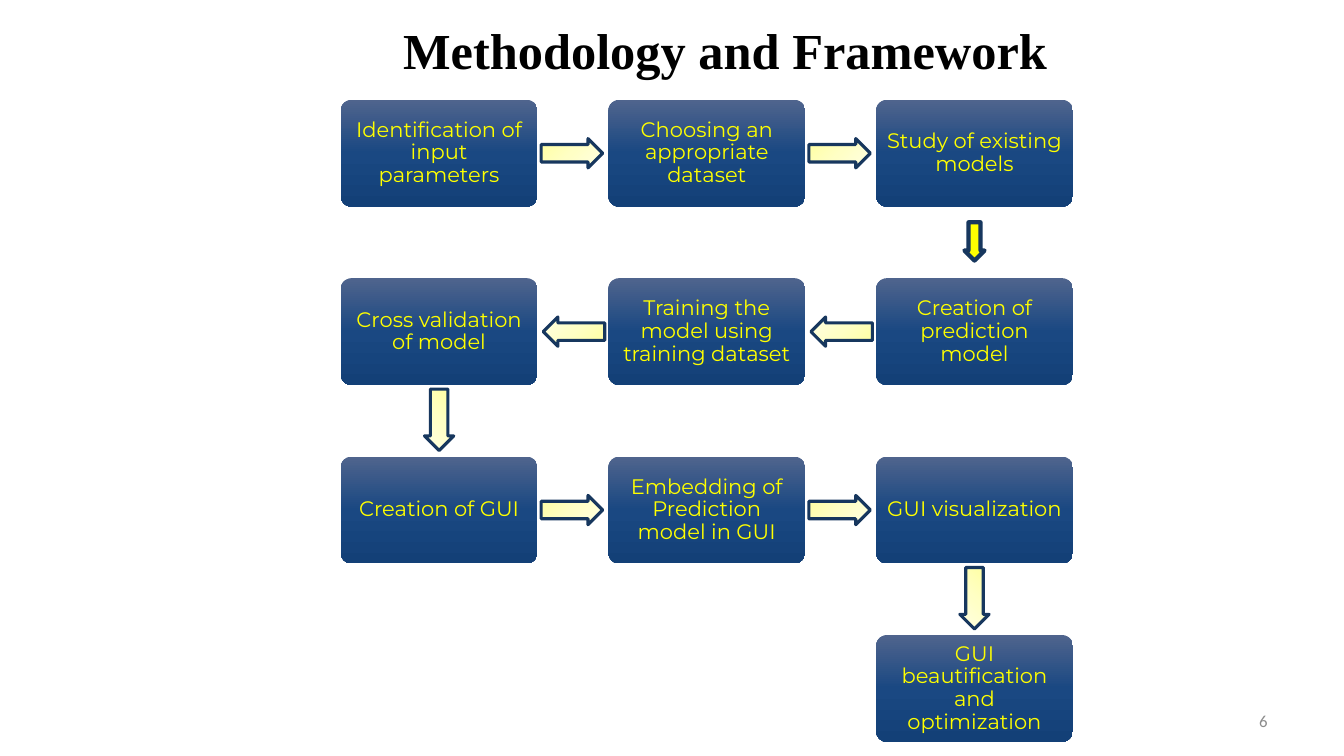
import pptx
import pptx.util
import pptx.dml.color
import pptx.enum.shapes
import pptx.enum.text
import pptx.oxml
import pptx.oxml.ns

STEPS = [
    ("Identification of input parameters", 0, 0),
    ("Choosing an appropriate dataset", 1, 0),
    ("Study of existing models", 2, 0),
    ("Creation of prediction model", 2, 1),
    ("Training the model using training dataset", 1, 1),
    ("Cross validation of model", 0, 1),
    ("Creation of GUI", 0, 2),
    ("Embedding of Prediction model in GUI", 1, 2),
    ("GUI visualization", 2, 2),
    ("GUI beautification and optimization", 2, 3),
]
ROTATIONS = {(1, 0): 0, (0, 1): 90, (-1, 0): 180}
HIGHLIGHTED_STEP = 2


def colour(value):
    return pptx.dml.color.RGBColor.from_string(value)


class FlowSlide:
    left, top = 3.38, 0.99
    column_pitch, row_pitch = 2.655, 1.77
    box_width, box_height = 1.95, 1.06
    box_stops = ("4F648D", "1A4882", "134077")
    arrow_stops = ("FFFFA0", "FFFFC5", "FFFFE3")
    label_colour = "FFFF00"
    outline_colour = "17375E"

    def __init__(self, presentation):
        self.slide = presentation.slides.add_slide(presentation.slide_layouts[6])

    def centre(self, column, row):
        return (self.left + column * self.column_pitch + self.box_width / 2,
                self.top + row * self.row_pitch + self.box_height / 2)

    def shape(self, kind, centre, width, height):
        corner = (centre[0] - width / 2, centre[1] - height / 2)
        shape = self.slide.shapes.add_shape(
            kind, *map(pptx.util.Inches, (*corner, width, height)))
        shape.shadow.inherit = False
        return shape

    def gradient(self, shape, stops, angle):
        marks = "".join(
            f'<a:gs pos="{index * 50000}"><a:srgbClr val="{stop}"/></a:gs>'
            for index, stop in enumerate(stops))
        fill = pptx.oxml.parse_xml(
            f'<a:gradFill {pptx.oxml.ns.nsdecls("a")} rotWithShape="1">'
            f'<a:gsLst>{marks}</a:gsLst>'
            f'<a:lin ang="{angle * 60000}" scaled="0"/></a:gradFill>')
        shape._element.spPr.find(pptx.oxml.ns.qn("a:prstGeom")).addnext(fill)

    def styled_paragraph(self, frame, text, font, size, text_colour, alignment):
        paragraph = frame.paragraphs[0]
        paragraph.text = text
        paragraph.alignment = alignment
        paragraph.font.name = font
        paragraph.font.size = pptx.util.Pt(size)
        paragraph.font.color.rgb = colour(text_colour)
        return paragraph

    def box(self, label, column, row):
        shape = self.shape(pptx.enum.shapes.MSO_SHAPE.ROUNDED_RECTANGLE,
                           self.centre(column, row), self.box_width, self.box_height)
        shape.adjustments[0] = 0.1
        self.gradient(shape, self.box_stops, 90)
        shape.line.fill.background()
        frame = shape.text_frame
        frame.word_wrap = True
        frame.vertical_anchor = pptx.enum.text.MSO_ANCHOR.MIDDLE
        inset = pptx.util.Inches(0.06)
        frame.margin_left = frame.margin_right = inset
        frame.margin_top = frame.margin_bottom = inset
        paragraph = self.styled_paragraph(
            frame, label, "Montserrat", 15, self.label_colour,
            pptx.enum.text.PP_ALIGN.CENTER)
        paragraph.line_spacing = 0.9

    def arrow(self, start, end, highlighted):
        direction = (end[0] - start[0], end[1] - start[1])
        middle = [(first + second) / 2 - 0.01 * step for first, second, step
                  in zip(self.centre(*start), self.centre(*end), direction)]
        size = (0.38, 0.2) if highlighted else (0.61, 0.29)
        shape = self.shape(pptx.enum.shapes.MSO_SHAPE.RIGHT_ARROW, middle, *size)
        shape.rotation = ROTATIONS[direction]
        shape.adjustments[0] = 0.6
        shape.adjustments[1] = 0.5
        if highlighted:
            shape.fill.solid()
            shape.fill.fore_color.rgb = colour(self.label_colour)
        else:
            self.gradient(shape, self.arrow_stops, 45)
        shape.line.color.rgb = colour(self.outline_colour)
        shape.line.width = pptx.util.Pt(3 if highlighted else 2.25)

    def text(self, text, place, font, size, text_colour, alignment, wrap=True):
        frame = self.slide.shapes.add_textbox(*map(pptx.util.Inches, place)).text_frame
        frame.word_wrap = wrap
        frame.vertical_anchor = pptx.enum.text.MSO_ANCHOR.MIDDLE
        return self.styled_paragraph(frame, text, font, size, text_colour, alignment)


def main():
    presentation = pptx.Presentation()
    presentation.slide_width = pptx.util.Inches(13.33)
    presentation.slide_height = pptx.util.Inches(7.5)
    flow = FlowSlide(presentation)

    flow.text("6", (9.56, 6.95, 3.11, 0.4), "Calibri", 12, "8C8C8C",
              pptx.enum.text.PP_ALIGN.RIGHT)
    for label, column, row in STEPS:
        flow.box(label, column, row)
    for index, (step, following) in enumerate(zip(STEPS, STEPS[1:])):
        flow.arrow(step[1:], following[1:], index == HIGHLIGHTED_STEP)
    title = flow.text("Methodology and Framework", (3.9, 0.13, 6.65, 0.71),
                      "Times New Roman", 36, "000000",
                      pptx.enum.text.PP_ALIGN.LEFT, wrap=False)
    title.font.bold = True

    presentation.save("out.pptx")


if __name__ == "__main__":
    main()
